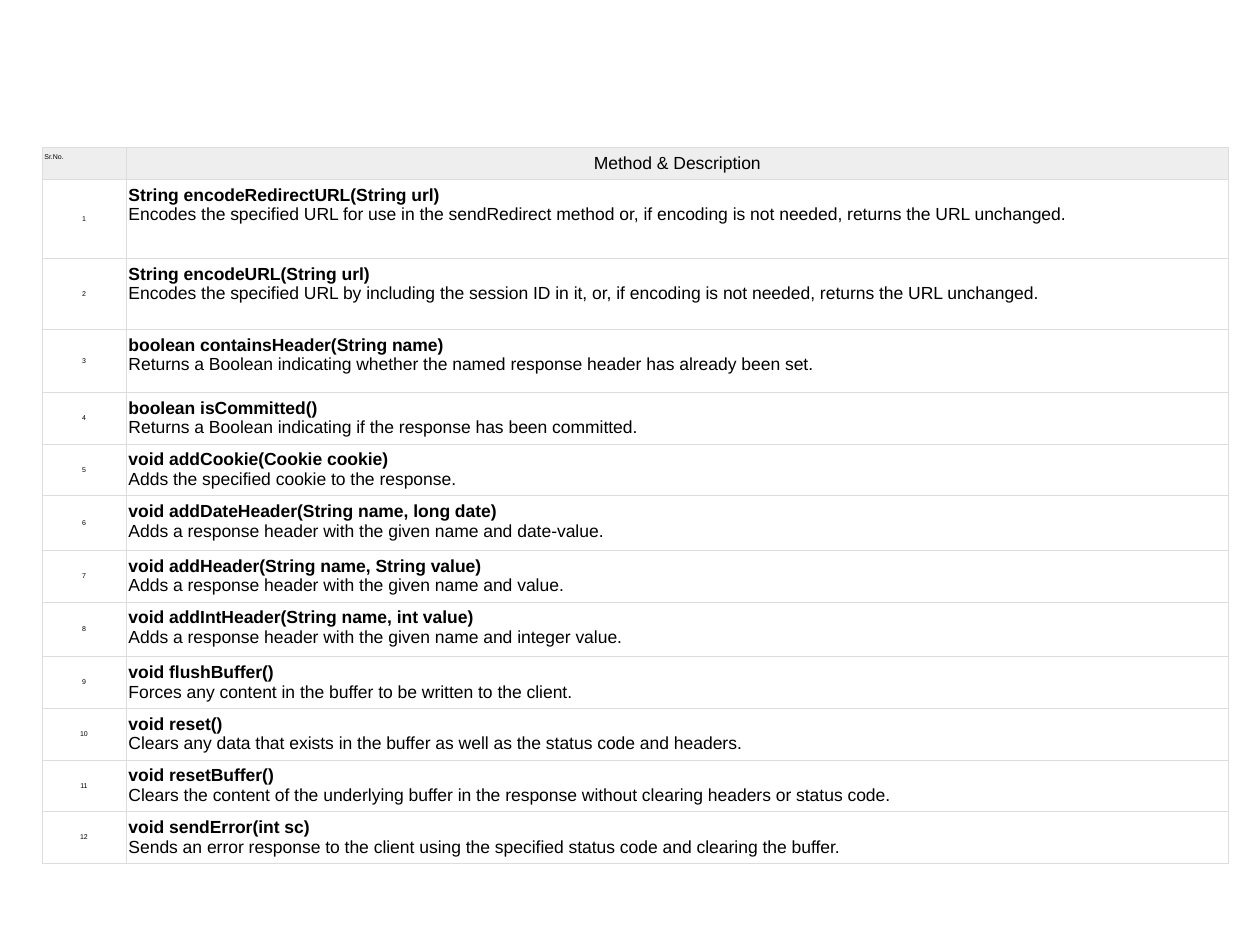
from lxml import etree
from pptx import Presentation
from pptx.dml.color import RGBColor
from pptx.enum.text import MSO_ANCHOR, PP_ALIGN
from pptx.oxml.ns import qn
from pptx.util import Pt

LEFT, CENTER, JUSTIFY = PP_ALIGN.LEFT, PP_ALIGN.CENTER, PP_ALIGN.JUSTIFY
TOP, MIDDLE = MSO_ANCHOR.TOP, MSO_ANCHOR.MIDDLE

BLACK = RGBColor(0x00, 0x00, 0x00)
HEADER_FILL = RGBColor(0xEE, 0xEE, 0xEE)
BORDER = RGBColor(0xDD, 0xDD, 0xDD)
FONT = "Arial"
SMALL, NORMAL = 4, 10

HEADERS = ("Sr.No.", "Method & Description")
METHODS = [
    ("String encodeRedirectURL(String url)",
     "Encodes the specified URL for use in the sendRedirect method or, if encoding is not needed, returns the URL unchanged."),
    ("String encodeURL(String url)",
     "Encodes the specified URL by including the session ID in it, or, if encoding is not needed, returns the URL unchanged."),
    ("boolean containsHeader(String name)",
     "Returns a Boolean indicating whether the named response header has already been set."),
    ("boolean isCommitted()",
     "Returns a Boolean indicating if the response has been committed."),
    ("void addCookie(Cookie cookie)",
     "Adds the specified cookie to the response."),
    ("void addDateHeader(String name, long date)",
     "Adds a response header with the given name and date-value."),
    ("void addHeader(String name, String value)",
     "Adds a response header with the given name and value."),
    ("void addIntHeader(String name, int value)",
     "Adds a response header with the given name and integer value."),
    ("void flushBuffer()",
     "Forces any content in the buffer to be written to the client."),
    ("void reset()",
     "Clears any data that exists in the buffer as well as the status code and headers."),
    ("void resetBuffer()",
     "Clears the content of the underlying buffer in the response without clearing headers or status code."),
    ("void sendError(int sc)",
     "Sends an error response to the client using the specified status code and clearing the buffer."),
]

TABLE_LEFT, TABLE_TOP = 24, 84
COL_WIDTHS = (48, 630)
HEADER_HEIGHT, ROW_HEIGHT = 15, 28
TALL_ROWS = {1: 45.2, 2: 40.5, 3: 36, 6: 31.2, 8: 31.2}


def add_borders(cell):
    tc_pr = cell._tc.get_or_add_tcPr()
    for side in ("a:lnL", "a:lnR", "a:lnT", "a:lnB"):
        ln = etree.SubElement(tc_pr, qn(side), w=str(Pt(0.34)))
        fill = etree.SubElement(ln, qn("a:solidFill"))
        etree.SubElement(fill, qn("a:srgbClr"), val=str(BORDER))


def fill_cell(cell, lines, size, align, anchor=TOP, fill=None):
    add_borders(cell)
    if fill is None:
        cell.fill.background()
    else:
        cell.fill.solid()
        cell.fill.fore_color.rgb = fill
    cell.margin_left = cell.margin_right = Pt(1.44)
    cell.margin_top = cell.margin_bottom = Pt(3.6)
    cell.vertical_anchor = anchor
    cell.text_frame.text = "\n".join(lines)
    for i, p in enumerate(cell.text_frame.paragraphs):
        p.alignment = align
        for r in p.runs:
            r.font.name = FONT
            r.font.size = Pt(size)
            r.font.bold = len(lines) > 1 and i == 0
            r.font.color.rgb = BLACK


def main():
    prs = Presentation()
    prs.slide_width, prs.slide_height = Pt(720), Pt(540)
    s = prs.slides.add_slide(prs.slide_layouts[6])

    heights = [HEADER_HEIGHT] + [TALL_ROWS.get(n, ROW_HEIGHT)
                                 for n in range(1, len(METHODS) + 1)]
    table = s.shapes.add_table(len(heights), len(COL_WIDTHS),
                               Pt(TABLE_LEFT), Pt(TABLE_TOP),
                               Pt(sum(COL_WIDTHS)), Pt(sum(heights))).table
    table.horz_banding = False
    table.first_row = False
    for col, width in zip(table.columns, COL_WIDTHS):
        col.width = Pt(width)
    for row, height in zip(table.rows, heights):
        row.height = Pt(height)

    fill_cell(table.cell(0, 0), HEADERS[:1], SMALL, LEFT, fill=HEADER_FILL)
    fill_cell(table.cell(0, 1), HEADERS[1:], NORMAL, CENTER, fill=HEADER_FILL)
    for n, method in enumerate(METHODS, 1):
        fill_cell(table.cell(n, 0), (str(n),), SMALL, CENTER, MIDDLE)
        fill_cell(table.cell(n, 1), method, NORMAL, JUSTIFY)

    prs.save("out.pptx")


if __name__ == "__main__":
    main()
